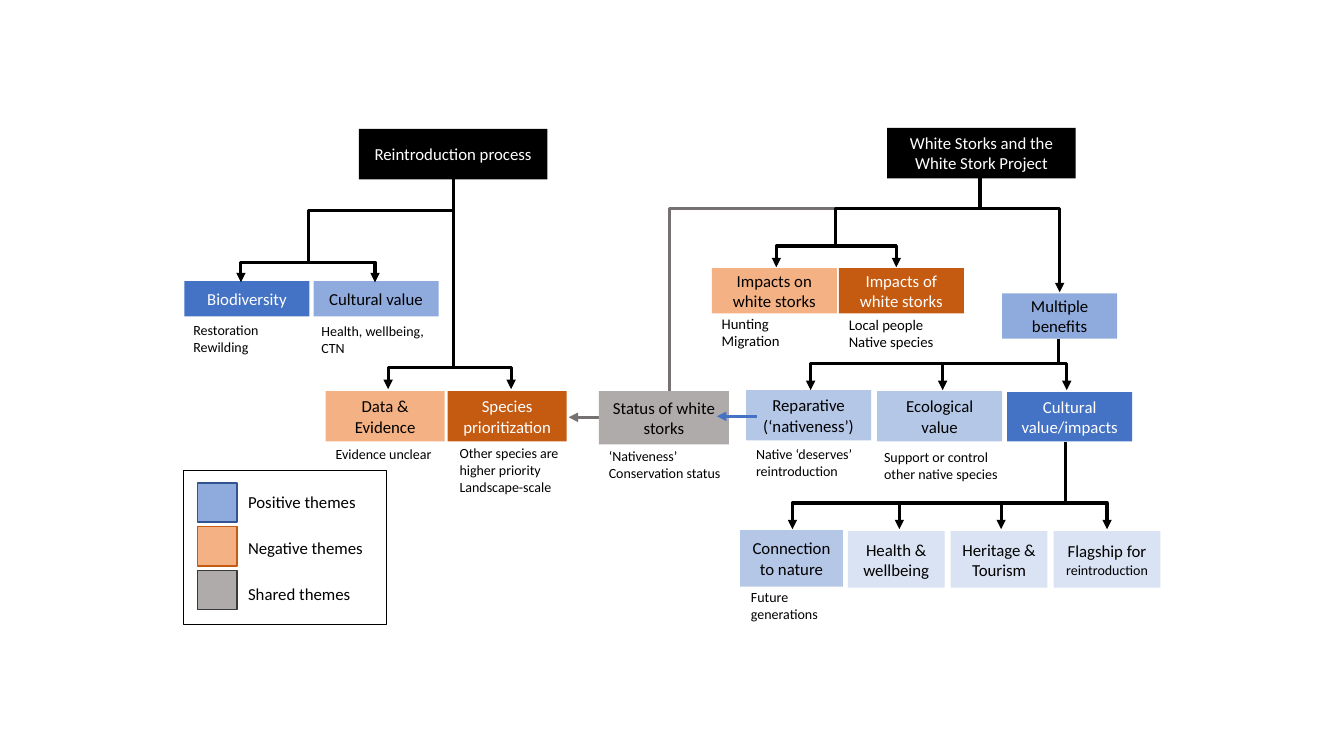
"""Draws the theme map of reintroduction and white stork topics."""
from dataclasses import dataclass
from typing import NamedTuple

from lxml import etree
from pptx import Presentation
from pptx.dml.color import RGBColor
from pptx.enum import shapes, text
from pptx.oxml import ns
from pptx.util import Inches, Pt


@dataclass(frozen=True)
class Theme:
    font: str = "Calibri"
    black: str = "000000"
    white: str = "FFFFFF"
    blue: str = "4472C4"
    mid_blue: str = "8FAADC"
    light_blue: str = "B4C7E7"
    pale_blue: str = "DAE3F3"
    blue_edge: str = "325491"
    orange: str = "F4B183"
    rust: str = "C55A11"
    grey: str = "AFABAB"
    grey_edge: str = "3B3838"
    grey_line: str = "767171"
    label: float = 12
    note: float = 10
    large_note: float = 10.5
    line: float = 2.25
    legend_gap: float = 18.5


T = Theme()
DARK = (T.black, T.blue, T.rust)


class Box(NamedTuple):
    label: str
    x: float
    y: float
    w: float
    h: float
    fill: str
    small: str = ""


class Note(NamedTuple):
    lines: tuple[str, ...]
    x: float
    y: float
    w: float
    h: float
    size: float = T.note


class Branch(NamedTuple):
    x: float
    y: float
    bar: float
    ends: tuple[float, ...]
    bottom: float
    arrow: bool = True


class Key(NamedTuple):
    label: str
    fill: str
    edge: str


BOXES = (
    Box("White Storks and the White Stork Project", 8.8, 1.27, 1.87, 0.5, T.black),
    Box("Reintroduction process", 3.56, 1.28, 1.87, 0.5, T.black),
    Box("Impacts on white storks", 7.06, 2.66, 1.24, 0.45, T.orange),
    Box("Impacts of white storks", 8.32, 2.66, 1.24, 0.45, T.rust),
    Box("Multiple benefits", 9.94, 2.91, 1.14, 0.45, T.mid_blue),
    Box("Biodiversity", 1.83, 2.79, 1.24, 0.35, T.blue),
    Box("Cultural value", 3.11, 2.79, 1.24, 0.35, T.mid_blue),
    Box("Data & Evidence", 3.23, 3.88, 1.18, 0.5, T.orange),
    Box("Species prioritization", 4.44, 3.88, 1.18, 0.5, T.rust),
    Box("Status of white storks", 5.94, 3.88, 1.29, 0.53, T.grey),
    Box("Reparative (‘nativeness’)", 7.4, 3.87, 1.24, 0.5, T.light_blue),
    Box("Ecological value", 8.7, 3.88, 1.24, 0.5, T.light_blue),
    Box("Cultural value/impacts", 9.99, 3.89, 1.24, 0.49, T.blue),
    Box("Connection to nature", 7.34, 5.26, 1.02, 0.56, T.light_blue),
    Box("Health & wellbeing", 8.41, 5.27, 0.96, 0.56, T.pale_blue),
    Box("Heritage & Tourism", 9.43, 5.27, 0.96, 0.56, T.pale_blue),
    Box("Flagship for ", 10.45, 5.27, 1.06, 0.56, T.pale_blue, "reintroduction"),
)

NOTES = (
    Note(("Hunting", "Migration"), 7.06, 3.04, 1.24, 0.51, T.large_note),
    Note(("Local people", "Native species"), 8.32, 3.05, 1.24, 0.51, T.large_note),
    Note(("Restoration Rewilding",), 1.82, 3.11, 1.24, 0.49),
    Note(("Health, wellbeing, CTN",), 3.09, 3.11, 1.24, 0.52),
    Note(("Evidence unclear",), 3.23, 4.27, 1.18, 0.47),
    Note(("Other species are higher priority", "Landscape-scale"), 4.46, 4.36, 1.33, 0.6),
    Note(("‘Nativeness’", "Conservation status"), 5.94, 4.39, 1.46, 0.43),
    Note(("Native ‘deserves’ reintroduction",), 7.4, 4.37, 1.21, 0.43),
    Note(("Support or control other native species",), 8.67, 4.4, 1.46, 0.43),
    Note(("Future generations",), 7.35, 5.78, 0.98, 0.45),
)

BRANCHES = (
    Branch(4.5, 1.78, 2.09, (3.06,), 2.39, False),
    Branch(9.72, 1.77, 2.07, (8.29,), 2.37, False),
    Branch(9.72, 1.77, 2.07, (10.51,), 2.9),
    Branch(8.29, 2.23, 2.44, (7.7, 8.89), 2.65),
    Branch(3.06, 2.39, 2.6, (2.39, 3.72), 2.8),
    Branch(10.5, 3.36, 3.61, (8.04, 9.35, 10.58), 3.87),
    Branch(4.5, 3.44, 3.65, (3.85, 5.07), 3.86),
    Branch(10.57, 4.39, 4.99, (7.86, 8.92, 9.93, 10.98), 5.25),
)

KEYS = (
    Key("Positive themes", T.mid_blue, T.blue_edge),
    Key("Negative themes", T.orange, T.rust),
    Key("Shared themes", T.grey, T.grey_edge),
)


def style(p, size: float, color: str = T.black) -> None:
    p.font.name, p.font.size = T.font, Pt(size)
    p.font.color.rgb = RGBColor.from_string(color)


def add_rect(s, x: float, y: float, w: float, h: float, fill: str, edge: str = "", width: float = 1):
    sp = s.shapes.add_shape(shapes.MSO_SHAPE.RECTANGLE, *map(Inches, (x, y, w, h)))
    sp.shadow.inherit = False
    sp.fill.solid()
    sp.fill.fore_color.rgb = RGBColor.from_string(fill)
    if edge:
        sp.line.color.rgb = RGBColor.from_string(edge)
        sp.line.width = Pt(width)
    else:
        sp.line.fill.background()
    return sp


def add_box(s, b: Box) -> None:
    p = add_rect(s, b.x, b.y, b.w, b.h, b.fill).text_frame.paragraphs[0]
    p.alignment = text.PP_ALIGN.CENTER
    style(p, T.label, T.white if b.fill in DARK else T.black)
    p.add_run().text = b.label
    if b.small:
        r = p.add_run()
        r.text, r.font.size = b.small, Pt(T.note)


def add_note(s, n: Note) -> None:
    tf = s.shapes.add_textbox(*map(Inches, (n.x, n.y, n.w, n.h))).text_frame
    tf.word_wrap, tf.vertical_anchor = True, text.MSO_ANCHOR.MIDDLE
    tf.text = "\n".join(n.lines)
    for p in tf.paragraphs:
        style(p, n.size)


def add_line(s, x1: float, y1: float, x2: float, y2: float, color: str = T.black,
             arrow: bool = True, bend: float | None = None):
    kind = shapes.MSO_CONNECTOR.STRAIGHT if bend is None else shapes.MSO_CONNECTOR.ELBOW
    c = s.shapes.add_connector(kind, *map(Inches, (x1, y1, x2, y2)))
    c.line.color.rgb, c.line.width = RGBColor.from_string(color), Pt(T.line)
    pr = c._element.spPr
    if arrow:
        etree.SubElement(c.line._get_or_add_ln(), ns.qn("a:tailEnd"), type="triangle")
    if bend is not None:
        guides = pr.find(ns.qn("a:prstGeom")).get_or_add_avLst()
        etree.SubElement(guides, ns.qn("a:gd"), name="adj1", fmla=f"val {round(bend * 100000)}")
    etree.SubElement(pr, ns.qn("a:effectLst"))
    return c


def add_branch(s, b: Branch) -> None:
    height = b.bottom - b.y
    for end in b.ends:
        cx, cy = (b.x + end) / 2, (b.y + b.bottom) / 2
        half_w, half_h = height / 2, abs(end - b.x) / 2
        side = 1 if end > b.x else -1
        c = add_line(s, cx - side * half_w, cy + half_h, cx + side * half_w, cy - half_h,
                     arrow=b.arrow, bend=(b.bar - b.y) / height)
        c._element.spPr.xfrm.set("rot", "5400000" if side > 0 else "16200000")


def add_legend(s) -> None:
    sp = add_rect(s, 1.82, 4.67, 2.01, 1.52, T.white, T.black, 0.5)
    tf = sp.text_frame
    tf.margin_left = Inches(0.64)
    tf.text = "\n".join(k.label for k in KEYS)
    for i, p in enumerate(tf.paragraphs):
        style(p, T.label)
        p.alignment = text.PP_ALIGN.LEFT
        p.space_before = Pt(T.legend_gap if i else 0)
    for i, k in enumerate(KEYS):
        add_rect(s, 1.96, 4.79 + 0.435 * i, 0.39, 0.39, k.fill, k.edge)


prs = Presentation()
prs.slide_width, prs.slide_height = Inches(13.33), Inches(7.5)
s = prs.slides.add_slide(prs.slide_layouts[6])
add_line(s, 8.28, 2.07, 5.64, 4.14, T.grey_line, bend=0.62)
for box in BOXES:
    add_box(s, box)
for note in NOTES:
    add_note(s, note)
for branch in BRANCHES:
    add_branch(s, branch)
add_line(s, 4.5, 2.06, 4.5, 3.55, arrow=False)
add_line(s, 7.51, 4.13, 7.11, 4.13, T.blue)
add_legend(s)
prs.save("out.pptx")
